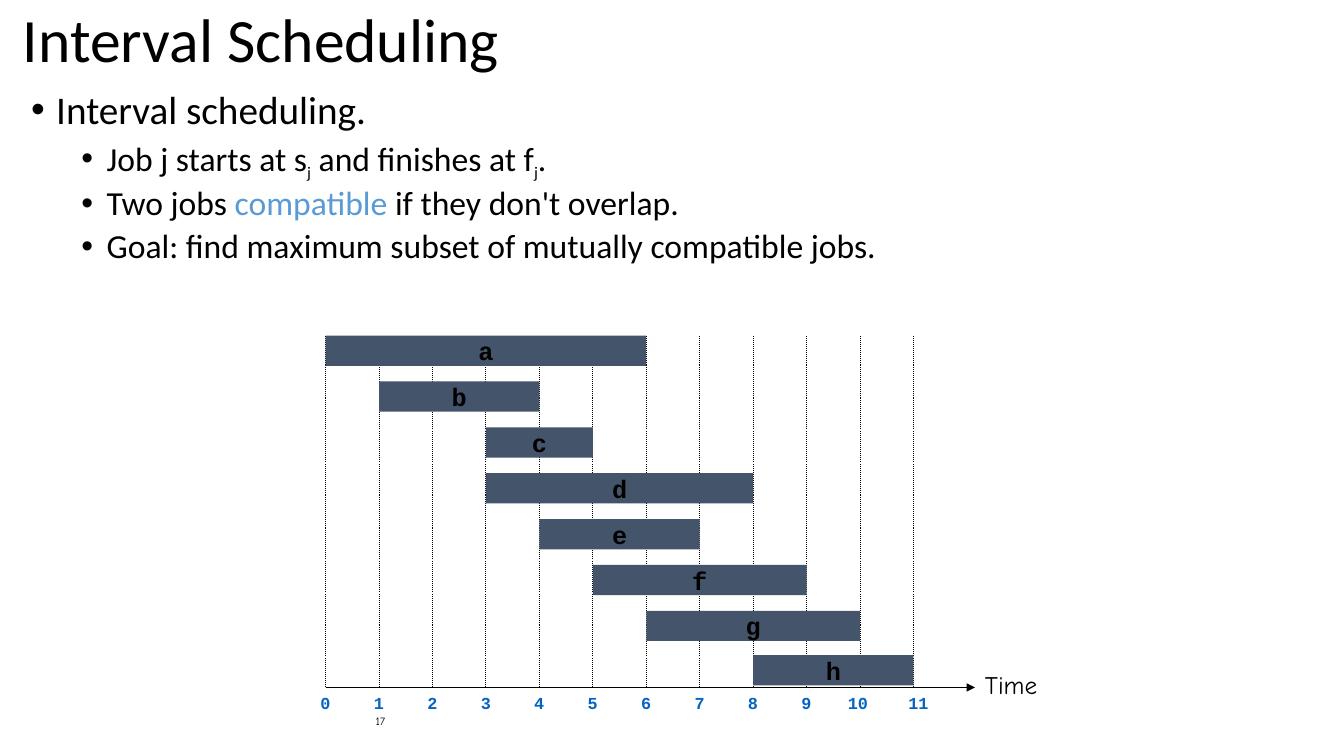
from lxml.etree import SubElement
from pptx import Presentation
from pptx.dml.color import RGBColor
from pptx.enum.dml import MSO_LINE_DASH_STYLE as Dash
from pptx.enum.shapes import MSO_CONNECTOR as Connector, MSO_SHAPE as Shape
from pptx.enum.text import MSO_ANCHOR as Anchor, PP_ALIGN as Align
from pptx.oxml.ns import qn
from pptx.util import Inches, Pt

COLORS = {"text": "000000", "accent": "5B9BD5", "bar": "44546A", "tick": "0563C1"}
BODY_FONT, LABEL_FONT, CODE_FONT = "Calibri", "Comic Neue", "Courier New"

# Each bullet: level, then runs of (text, size, colour, is subscript)
BULLETS = [
    (0, [("Interval scheduling.", 28, "text", False)]),
    (1, [("Job j starts at s", 24, "text", False), ("j", 20, "text", True),
         (" and finishes at f", 24, "text", False), ("j", 20, "text", True),
         (".", 24, "text", False)]),
    (1, [("Two jobs ", 24, "text", False), ("compatible ", 24, "accent", False),
         ("if they don't overlap.", 24, "text", False)]),
    (1, [("Goal: find maximum subset of mutually compatible jobs.", 24, "text", False)]),
]
# Each job: name, start, finish
JOBS = [("a", 0, 6), ("b", 1, 4), ("c", 3, 5), ("d", 3, 8),
        ("e", 4, 7), ("f", 5, 9), ("g", 6, 10), ("h", 8, 11)]
LAST_TICK = 11


def add_span(para, text, size, font, color="text", bold=False):
    span = para.add_run()
    span.text = text
    span.font.size = Pt(size)
    span.font.name = font
    span.font.bold = bold
    span.font.color.rgb = RGBColor.from_string(COLORS[color])
    return span


def add_box(page, left, top, width, height, anchor=Anchor.TOP, wrap=True):
    """Add an empty text box and return its text frame."""
    frame = page.shapes.add_textbox(
        Inches(left), Inches(top), Inches(width), Inches(height)).text_frame
    frame.word_wrap = wrap
    frame.vertical_anchor = anchor
    return frame


def add_line(page, x1, y1, x2, y2, weight):
    line = page.shapes.add_connector(
        Connector.STRAIGHT, Inches(x1), Inches(y1), Inches(x2), Inches(y2))
    line.line.width = Pt(weight)
    line.line.color.rgb = RGBColor.from_string(COLORS["text"])
    SubElement(line._element.spPr, qn("a:effectLst"))
    return line


def add_title(page, left, top, width, height):
    para = add_box(page, left, top, width, height, Anchor.MIDDLE).paragraphs[0]
    para.line_spacing = 0.9
    add_span(para, "Interval Scheduling", 44, BODY_FONT)


def add_bullets(page, left, top, width, height):
    frame = add_box(page, left, top, width, height)
    for index, (level, spans) in enumerate(BULLETS):
        para = frame.add_paragraph() if index else frame.paragraphs[0]
        para.level = level
        para.line_spacing = 0.9
        if index:
            para.space_before = Pt(5)
        props = para._p.get_or_add_pPr()
        props.set("marL", str(Inches(0.25 + 0.5 * level)))
        props.set("indent", str(-Inches(0.25)))
        SubElement(props, qn("a:buFont"), typeface="Arial")
        SubElement(props, qn("a:buChar"), char="•")
        for text, size, color, subscript in spans:
            span = add_span(para, text, size, BODY_FONT, color)
            if subscript:
                span._r.get_or_add_rPr().set("baseline", "-25000")


def add_job(page, name, left, top, width, height):
    bar = page.shapes.add_shape(
        Shape.RECTANGLE, Inches(left), Inches(top), Inches(width), Inches(height))
    bar.shadow.inherit = False
    bar.fill.solid()
    bar.fill.fore_color.rgb = RGBColor.from_string(COLORS["bar"])
    bar.line.fill.background()
    bar.text_frame.word_wrap = False
    bar.text_frame.vertical_anchor = Anchor.MIDDLE
    para = bar.text_frame.paragraphs[0]
    para.alignment = Align.CENTER
    add_span(para, name, 18, CODE_FONT, bold=True)


def add_schedule(page, left, top, width, height):
    """Draw the jobs over a time axis that runs along the bottom of the box."""
    unit, row_step, bar_height = 0.53, 0.455, 0.3
    axis = top + height
    right = left + width

    arrow = add_line(page, left, axis, right, axis, 1.25)
    SubElement(arrow.line._get_or_add_ln(), qn("a:tailEnd"), type="triangle")
    label = add_box(page, right, axis - 0.23, 0.83, 0.4)
    add_span(label.paragraphs[0], "Time", 18, LABEL_FONT)

    for tick in range(LAST_TICK + 1):
        x = left + tick * unit
        add_line(page, x, axis, x, top, 0.75).line.dash_style = Dash.ROUND_DOT
        shift = 0.22 if tick == 10 else 0.15
        number = add_box(page, x - shift, axis, 0.45, 0.3)
        add_span(number.paragraphs[0], str(tick), 12, CODE_FONT, "tick", bold=True)

    for row, (name, start, finish) in enumerate(JOBS):
        bar_top = min(top + row * row_step, axis - bar_height - 0.02)
        add_job(page, name, left + start * unit, bar_top,
                (finish - start) * unit, bar_height)


def add_page_number(page, left, top, width, height):
    frame = add_box(page, left, top, width, height, Anchor.MIDDLE, wrap=False)
    para = frame.paragraphs[0]
    para.alignment = Align.RIGHT
    add_span(para, "17", 8, LABEL_FONT)


def main():
    deck = Presentation()
    deck.slide_width, deck.slide_height = Inches(13.33), Inches(7.5)
    page = deck.slides.add_slide(deck.slide_layouts[6])
    add_page_number(page, 0.92, 6.95, 3, 0.4)
    add_title(page, 0.13, 0, 11.5, 0.84)
    add_bullets(page, 0.21, 0.85, 11.5, 4.76)
    add_schedule(page, 3.23, 3.33, 6.44, 3.49)
    deck.save("out.pptx")


if __name__ == "__main__":
    main()
